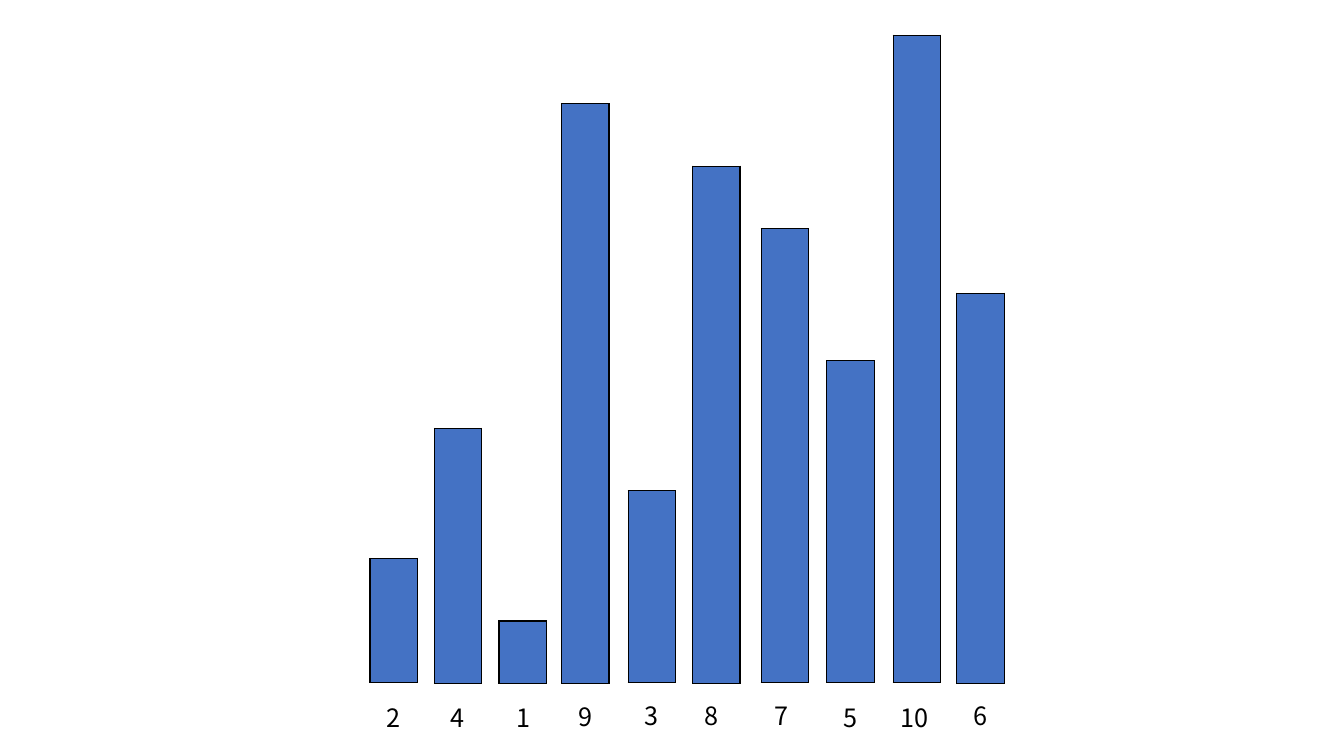
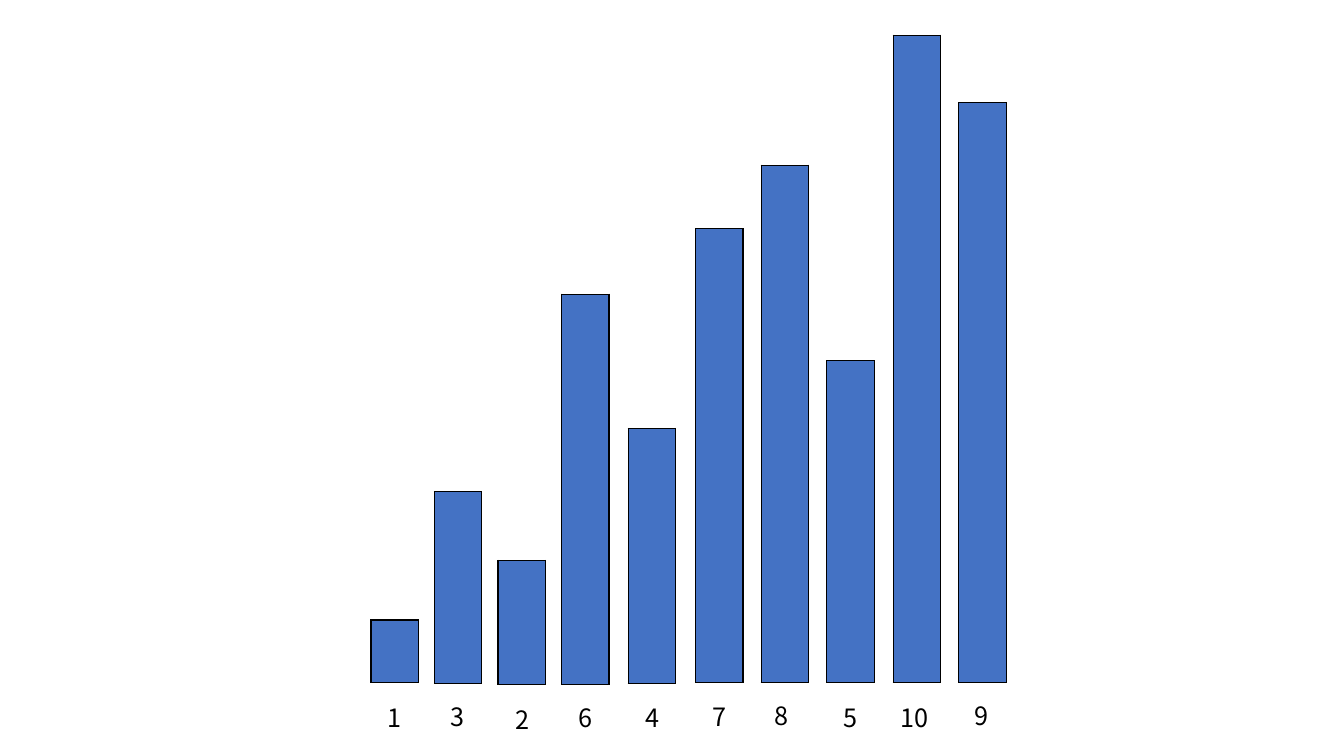
from typing import NamedTuple

import lxml.etree
import pptx
import pptx.dml.color
import pptx.enum.text
import pptx.oxml.ns
import pptx.slide
import pptx.table
import pptx.util

Inches = pptx.util.Inches
Pt = pptx.util.Pt

COLORS = {"bar": "4472C4", "ink": "000000"}
FONT = "Noto Sans CJK KR"
NO_STYLE_NO_GRID = "{2D5ABB26-0587-4C30-8999-92F81FD0307C}"

BAR_WIDTH = 0.47
BAR_HEIGHTS = {1: 0.62, 2: 1.23, 3: 1.9, 4: 2.53, 5: 3.19,
               6: 3.87, 7: 4.5, 8: 5.13, 9: 5.75, 10: 6.42}
LABEL_HEIGHT = 0.4


class Bar(NamedTuple):
    value: int
    left: float
    top: float
    label_left: float
    label_top: float


START_ORDER = [
    Bar(2, 3.67, 5.54, 3.74, 6.92),
    Bar(4, 4.31, 4.25, 4.37, 6.92),
    Bar(1, 4.95, 6.16, 5.02, 6.92),
    Bar(9, 5.57, 1.03, 5.64, 6.91),
    Bar(3, 6.23, 4.87, 6.29, 6.9),
    Bar(8, 6.87, 1.65, 6.89, 6.9),
    Bar(7, 7.55, 2.27, 7.58, 6.9),
    Bar(5, 8.2, 3.58, 8.27, 6.92),
    Bar(10, 8.86, 0.35, 8.83, 6.92),
    Bar(6, 9.49, 2.91, 9.56, 6.9),
]
PARTLY_SORTED = [
    Bar(1, 3.68, 6.15, 3.75, 6.92),
    Bar(3, 4.31, 4.88, 4.37, 6.91),
    Bar(2, 4.94, 5.56, 5.01, 6.94),
    Bar(6, 5.57, 2.92, 5.64, 6.92),
    Bar(4, 6.23, 4.25, 6.3, 6.92),
    Bar(7, 6.9, 2.27, 6.97, 6.91),
    Bar(8, 7.55, 1.64, 7.58, 6.9),
    Bar(5, 8.2, 3.58, 8.27, 6.92),
    Bar(10, 8.86, 0.35, 8.83, 6.92),
    Bar(9, 9.51, 1.02, 9.57, 6.9),
]


def rgb(name: str) -> pptx.dml.color.RGBColor:
    return pptx.dml.color.RGBColor.from_string(COLORS[name])


def add_borders(cell: pptx.table._Cell, sides: str) -> None:
    """Rule the given sides, listed in schema order out of L, R, T, B."""
    qn = pptx.oxml.ns.qn
    properties = cell._tc.get_or_add_tcPr()
    for side in sides:
        line = lxml.etree.SubElement(properties, qn(f"a:ln{side}"), w=str(Pt(1)))
        fill = lxml.etree.SubElement(line, qn("a:solidFill"))
        lxml.etree.SubElement(fill, qn("a:srgbClr"), val=COLORS["ink"])


def add_bar(slide: pptx.slide.Slide, bar: Bar) -> None:
    """Stack one table row per unit of the value, outlined as a whole."""
    height = Inches(BAR_HEIGHTS[bar.value])
    table = slide.shapes.add_table(
        bar.value, 1, Inches(bar.left), Inches(bar.top), Inches(BAR_WIDTH), height
    ).table
    table.first_row = False
    table.horz_banding = False
    style = table._tbl.tblPr.find(pptx.oxml.ns.qn("a:tableStyleId"))
    style.text = NO_STYLE_NO_GRID
    for index, row in enumerate(table.rows):
        row.height = height // bar.value
        cell = row.cells[0]
        top = "T" if index == 0 else ""
        bottom = "B" if index == bar.value - 1 else ""
        add_borders(cell, "LR" + top + bottom)
        cell.fill.solid()
        cell.fill.fore_color.rgb = rgb("bar")


def add_label(slide: pptx.slide.Slide, bar: Bar) -> None:
    width = 0.34 if bar.value < 10 else 0.56
    box = slide.shapes.add_textbox(
        Inches(bar.label_left), Inches(bar.label_top), Inches(width), Inches(LABEL_HEIGHT)
    )
    frame = box.text_frame
    frame.word_wrap = False
    frame.auto_size = pptx.enum.text.MSO_AUTO_SIZE.SHAPE_TO_FIT_TEXT
    run = frame.paragraphs[0].add_run()
    run.text = str(bar.value)
    run.font.name = FONT
    run.font.size = Pt(18)
    run.font.color.rgb = rgb("ink")


def main() -> None:
    presentation = pptx.Presentation()
    presentation.slide_width = Inches(13.33)
    presentation.slide_height = Inches(7.5)
    blank_layout = presentation.slide_layouts.get_by_name("Blank")
    for bars in (START_ORDER, PARTLY_SORTED):
        slide = presentation.slides.add_slide(blank_layout)
        for bar in bars:
            add_bar(slide, bar)
            add_label(slide, bar)
    presentation.save("out.pptx")


if __name__ == "__main__":
    main()
